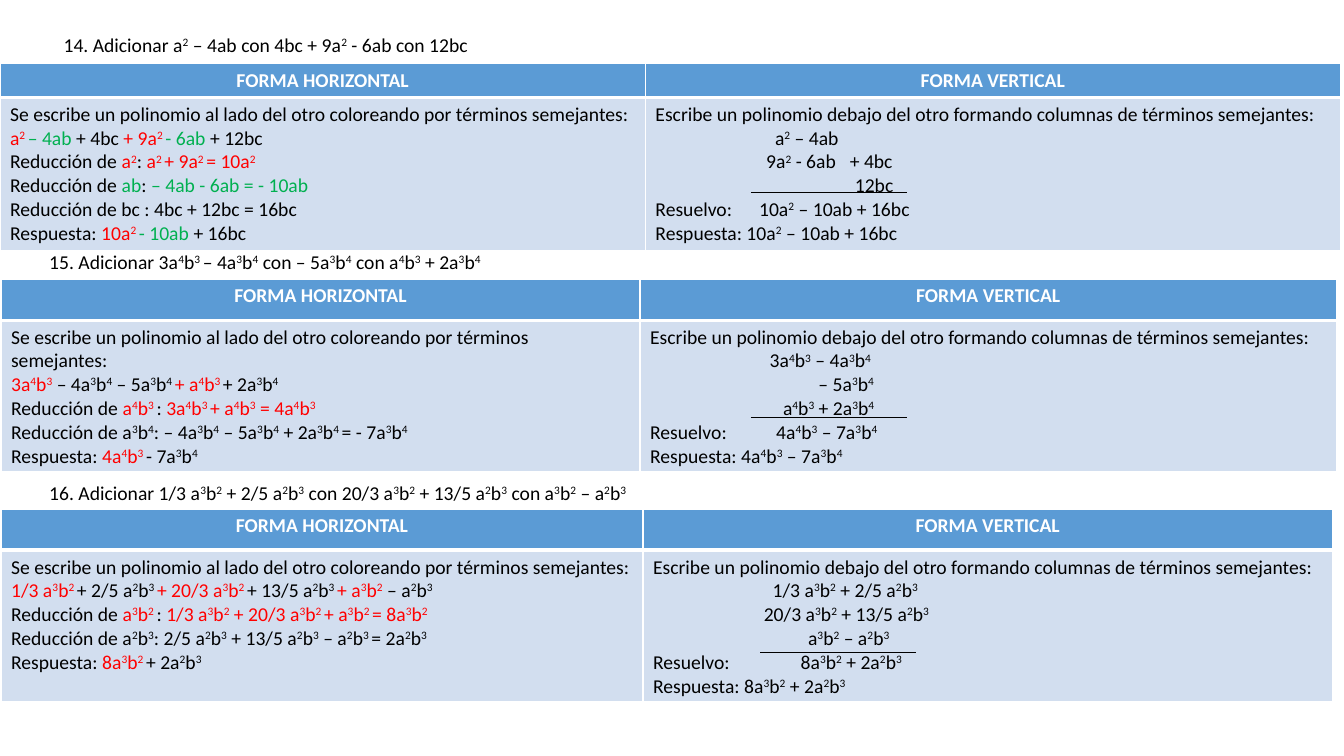
"""Build the slide with three worked sums of polynomials."""
from pptx import Presentation
from pptx import util as u
from pptx.dml.color import RGBColor
from pptx.enum import shapes, text
from pptx.oxml import parse_xml
from pptx.oxml.ns import nsdecls, qn

BLACK, WHITE, RED, GREEN = "000000", "FFFFFF", "FF0000", "00B050"
BLUE, PALE = "5B9BD5", "D2DEEF"
HEADS = ["FORMA HORIZONTAL", "FORMA VERTICAL"]
LEFT = "Se escribe un polinomio al lado del otro coloreando por términos semejantes:"
RIGHT = "Escribe un polinomio debajo del otro formando columnas de términos semejantes:"


def paint(code):
    """Turn a hex string into a colour."""
    return RGBColor.from_string(code)


def split(line):
    """Yield bits with colour and raised flag: * is red, ~ green, ^ raised."""
    for i, part in enumerate(line.split("*")):
        for j, piece in enumerate(part.split("~")):
            tint = RED if i % 2 else GREEN if j % 2 else None
            for k, bit in enumerate(piece.split("^")):
                if bit:
                    yield bit, tint, k % 2 == 1


def write(para, line, size=14, color=BLACK, bold=False, align=None, stops=()):
    """Write one marked line into a paragraph."""
    if stops:
        tabs = "".join(f'<a:tab pos="{u.Pt(stop)}" algn="l"/>' for stop in stops)
        para._p.get_or_add_pPr().append(
            parse_xml(f'<a:tabLst {nsdecls("a")}>{tabs}</a:tabLst>'))
    para.alignment = align
    for bit, tint, raised in split(line):
        run = para.add_run()
        run.text = bit
        font = run.font
        font.name, font.size, font.bold = "Calibri", u.Pt(size), bold
        font.color.rgb = paint(tint or color)
        if raised:
            font._element.set("baseline", "30000")


class Board:
    """Hold the slide and its style."""

    def __init__(self, deck):
        """Add a slide and drop its empty title."""
        self.slide = deck.slides.add_slide(deck.slide_layouts[2])
        title = self.slide.shapes.title._element
        title.getparent().remove(title)

    def lead(self, line, x, y, w, h):
        """Fill the body placeholder with the first heading."""
        body = self.slide.placeholders[1]
        body.left, body.top, body.width, body.height = map(u.Pt, (x, y, w, h))
        body.text_frame.vertical_anchor = text.MSO_ANCHOR.TOP
        para = body.text_frame.paragraphs[0]
        write(para, line)
        para.line_spacing, para.space_before = 0.8, u.Pt(0)

    def label(self, line, x, y, w, h):
        """Add a heading in a text box."""
        frame = self.slide.shapes.add_textbox(*map(u.Pt, (x, y, w, h))).text_frame
        frame.word_wrap = True
        write(frame.paragraphs[0], line)

    def edge(self, cell, top, low):
        """Draw white borders round a cell."""
        props = cell._tc.get_or_add_tcPr()
        for side, width in zip("LRTB", (1, 1, top, low)):
            props.append(parse_xml(
                f'<a:ln{side} {nsdecls("a")} w="{u.Pt(width)}"><a:solidFill>'
                f'<a:srgbClr val="{WHITE}"/></a:solidFill></a:ln{side}>'))

    def fill(self, cell, color):
        """Fill a cell."""
        cell.fill.solid()
        cell.fill.fore_color.rgb = paint(color)

    def grid(self, x, y, cols, rows, lists):
        """Add a table with one heading and one list of lines a column."""
        table = self.slide.shapes.add_table(
            2, 2, *map(u.Pt, (x, y, sum(cols), sum(rows)))).table
        for row, high in zip(table.rows, rows):
            row.height = u.Pt(high)
        for i, (head, lines) in enumerate(zip(HEADS, lists)):
            table.columns[i].width = u.Pt(cols[i])
            top, main = table.cell(0, i), table.cell(1, i)
            self.edge(top, 1, 3)
            self.edge(main, 3, 1)
            self.fill(top, BLUE)
            self.fill(main, PALE)
            write(top.text_frame.paragraphs[0], head, color=WHITE, bold=True,
                  align=text.PP_ALIGN.CENTER)
            frame = main.text_frame
            for j, (line, *stops) in enumerate(lines):
                para = frame.add_paragraph() if j else frame.paragraphs[0]
                write(para, line, stops=stops)

    def rule(self, x, y, w):
        """Draw the line above a sum."""
        line = self.slide.shapes.add_connector(
            shapes.MSO_CONNECTOR.STRAIGHT, *map(u.Pt, (x, y, x + w, y)))
        line.line.color.rgb = paint(BLACK)
        line.line.width = u.Pt(0.5)
        props = line._element.find(qn("p:spPr"))
        props.append(parse_xml(f'<a:effectLst {nsdecls("a")}/>'))


SUMS = [
    dict(
        head="14. Adicionar a^2^ – 4ab con 4bc + 9a^2^ - 6ab con 12bc",
        box=(38.2, 23, 828, 21.6), at=(0, 45.4), cols=(461, 496.4), top=24,
        rule=(536.4, 137.5),
        flat=["*a^2 ^*~– 4ab ~+ 4bc *+ 9a^2 ^*~- 6ab ~+ 12bc",
              "Reducción de *a^2^*: *a^2 ^+ 9a^2 ^= 10a^2^*",
              "Reducción de ~ab~: ~– 4ab - 6ab = - 10ab~",
              "Reducción de bc : 4bc + 12bc = 16bc",
              "Respuesta: *10a^2 ^*~- 10ab ~+ 16bc"],
        tall=[("\ta^2^ – 4ab", 85.4),
              ("\t9a^2^ - 6ab\t+ 4bc", 79.1, 138.8),
              ("\t12bc", 142.4),
              ("Resuelvo:\t10a^2^ – 10ab + 16bc", 74),
              ("Respuesta: 10a^2^ – 10ab + 16bc",)]),
    dict(
        head="15. Adicionar 3a^4^b^3 ^– 4a^3^b^4^ con – 5a^3^b^4^ con a^4^b^3^ + 2a^3^b^4^",
        box=(28.1, 175, 585, 24.5), at=(0.7, 199.4), cols=(456.5, 497.5), top=29.5,
        rule=(536.4, 298.1),
        flat=["*3a^4^b^3^* – 4a^3^b^4^ – 5a^3^b^4 ^*+ a^4^b^3 ^*+ 2a^3^b^4^",
              "Reducción de *a^4^b^3 ^*: *3a^4^b^3 ^+ a^4^b^3^ = 4a^4^b^3^*",
              "Reducción de a^3^b^4^: – 4a^3^b^4^ – 5a^3^b^4^ + 2a^3^b^4 ^= - 7a^3^b^4^",
              "Respuesta: *4a^4^b^3 ^*- 7a^3^b^4^"],
        tall=[("\t3a^4^b^3^ – 4a^3^b^4^", 85.4),
              ("\t– 5a^3^b^4^", 120.2),
              ("\ta^4^b^3^ + 2a^3^b^4^", 94.9),
              ("Resuelvo:\t4a^4^b^3^ – 7a^3^b^4^", 90),
              ("Respuesta: 4a^4^b^3^ – 7a^3^b^4^",)]),
    dict(
        head="16. Adicionar 1/3 a^3^b^2^ + 2/5 a^2^b^3^ con 20/3 a^3^b^2^ + 13/5 a^2^b^3^"
             " con a^3^b^2^ – a^2^b^3^",
        box=(28.1, 339.8, 559, 24.5), at=(0.7, 363.6), cols=(458.6, 492.5), top=29.5,
        rule=(542.9, 465.8),
        flat=["*1/3 a^3^b^2 ^*+ 2/5 a^2^b^3 ^*+ 20/3 a^3^b^2 ^*+ 13/5 a^2^b^3 ^"
              "*+ a^3^b^2^* – a^2^b^3^",
              "Reducción de *a^3^b^2 ^*: *1/3 a^3^b^2^ + 20/3 a^3^b^2 ^+ a^3^b^2 ^"
              "= 8a^3^b^2^*",
              "Reducción de a^2^b^3^: 2/5 a^2^b^3^ + 13/5 a^2^b^3^ – a^2^b^3 ^= 2a^2^b^3^",
              "Respuesta: *8a^3^b^2 ^*+ 2a^2^b^3^"],
        tall=[("\t1/3 a^3^b^2^ + 2/5 a^2^b^3^", 85.4),
              ("\t20/3 a^3^b^2^ + 13/5 a^2^b^3^", 79.1),
              ("\ta^3^b^2^ – a^2^b^3^", 110.7),
              ("Resuelvo:\t8a^3^b^2^ + 2a^2^b^3^", 105.4),
              ("Respuesta: 8a^3^b^2^ + 2a^2^b^3^",)]),
]


def main():
    """Build and save the deck."""
    deck = Presentation()
    deck.slide_width, deck.slide_height = u.Pt(960), u.Pt(540)
    board = Board(deck)
    for i, item in enumerate(SUMS):
        place = board.label if i else board.lead
        place(item["head"], *item["box"])
        flat = [(line,) for line in [LEFT, *item["flat"]]]
        board.grid(*item["at"], item["cols"], (item["top"], 108),
                   (flat, [(RIGHT,), *item["tall"]]))
    for item in SUMS:
        board.rule(*item["rule"], 111.6)
    deck.save("out.pptx")


if __name__ == "__main__":
    main()
